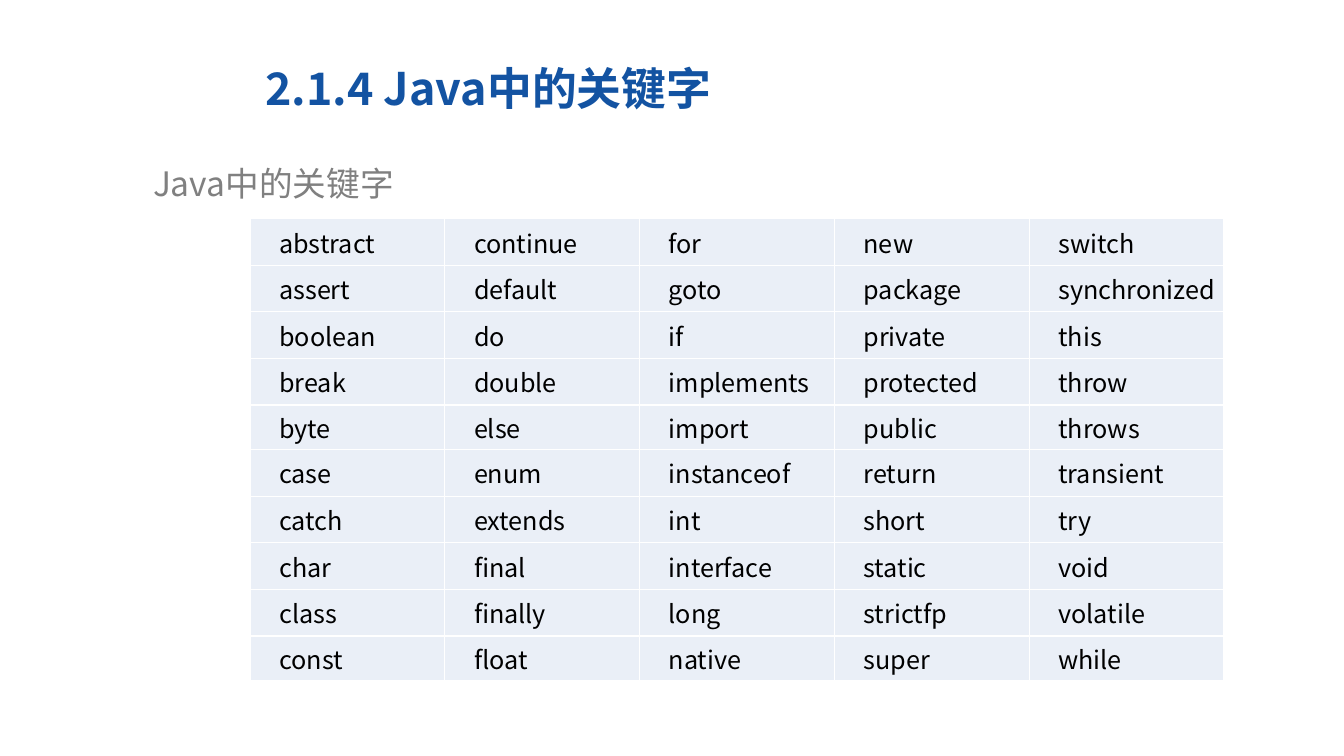
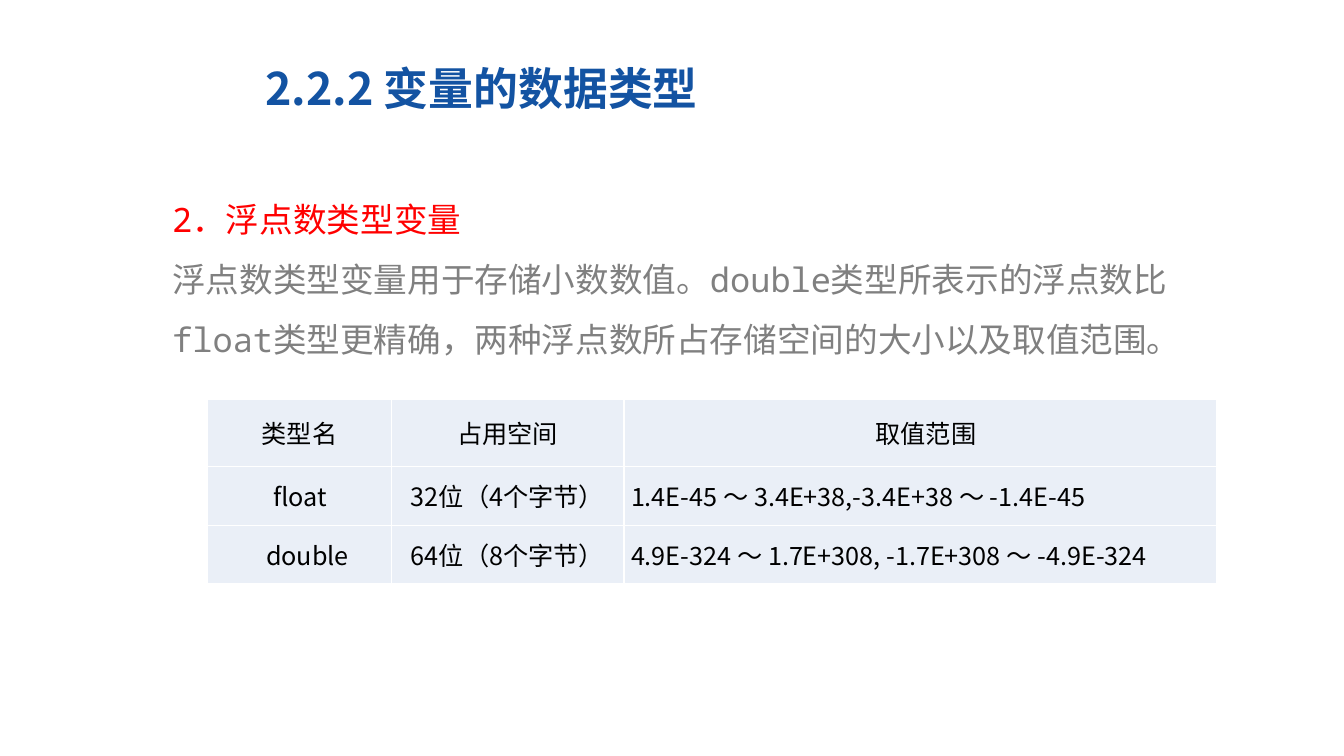
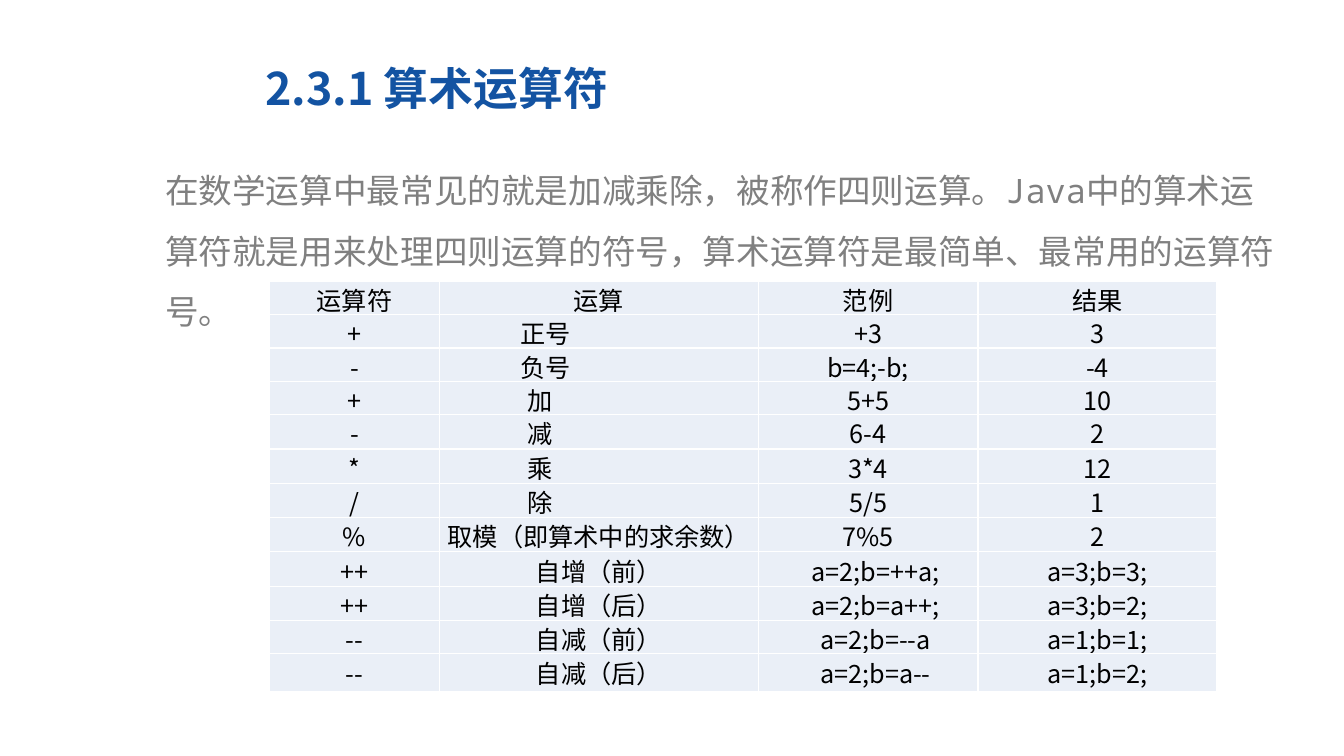
import pptx
import pptx.util
import pptx.dml.color
import pptx.enum.text
import pptx.oxml.ns
import lxml.etree

RGB = pptx.dml.color.RGBColor
BLUE = RGB(0x13, 0x53, 0xA2)
GRAY = RGB(0x80, 0x80, 0x80)
RED = RGB(0xFF, 0, 0)
BLACK = RGB(0, 0, 0)
PALE = RGB(0xEA, 0xEF, 0xF7)
EDGE = "FFFFFF"
SANS = "Noto Sans CJK SC"
MONO = "Noto Sans Mono"
ALIGN = pptx.enum.text.PP_ALIGN
ANCHOR = pptx.enum.text.MSO_ANCHOR
FIT = pptx.enum.text.MSO_AUTO_SIZE
INCH = pptx.util.Inches
WIDE, HIGH = INCH(13.33), INCH(7.5)
TITLE_BOX = (18.98, 7.33, 41.86, 8.53)

KEYS = """abstract continue for new switch
assert default goto package synchronized
boolean do if private this
break double implements protected throw
byte else import public throws
case enum instanceof return transient
catch extends int short try
char final interface static void
class finally long strictfp volatile
const float native super while"""

FLOATS = [
    ["类型名", "占用空间", "取值范围"],
    ["float", "32位（4个字节）", "1.4E-45 ～ 3.4E+38,-3.4E+38 ～ -1.4E-45"],
    ["double", "64位（8个字节）", "4.9E-324 ～ 1.7E+308, -1.7E+308 ～ -4.9E-324"],
]

SIGNS = [
    ["运算符", "运算", "范例", "结果"],
    ["+", "正号", "+3", "3"],
    ["-", "负号", "b=4;-b;", "-4"],
    ["+", "加", "5+5", "10"],
    ["-", "减", "6-4", "2"],
    ["*", "乘", "3*4", "12"],
    ["/", "除", "5/5", "1"],
    ["%", "取模（即算术中的求余数）", "7%5", "2"],
    ["++", "自增（前）", "a=2;b=++a;", "a=3;b=3;"],
    ["++", "自增（后）", "a=2;b=a++;", "a=3;b=2;"],
    ["--", "自减（前）", "a=2;b=--a", "a=1;b=1;"],
    ["--", "自减（后）", "a=2;b=a--", "a=1;b=2;"],
]


def place(box):
    """Turn percentages of the slide into lengths."""
    left, top, width, height = box
    return (int(WIDE * left / 100), int(HIGH * top / 100),
            int(WIDE * width / 100), int(HIGH * height / 100))


def write(para, text, size=18, color=BLACK, face=SANS, bold=False,
          align=ALIGN.LEFT, indent=0, space=None):
    para.alignment = align
    if indent:
        para._p.get_or_add_pPr().set("indent", str(INCH(indent)))
    if space:
        para.line_spacing = space
    run = para.add_run()
    run.text = text
    font = run.font
    font.size, font.bold, font.name = pptx.util.Pt(size), bold, face
    font.color.rgb = color
    east = lxml.etree.SubElement(run._r.get_or_add_rPr(), pptx.oxml.ns.qn("a:ea"))
    east.set("typeface", SANS)


def start(deck, text):
    """Add a slide with its title."""
    slide = deck.slides.add_slide(deck.slide_layouts[5])
    title = slide.shapes.title
    title.left, title.top, title.width, title.height = place(TITLE_BOX)
    frame = title.text_frame
    frame.auto_size = FIT.NONE
    frame.vertical_anchor = ANCHOR.TOP
    write(frame.paragraphs[0], text, size=32, color=BLUE, bold=True)
    return slide


def body(slide, box, lines, face=MONO):
    frame = slide.shapes.add_textbox(*place(box)).text_frame
    frame.word_wrap = True
    for i, (text, color) in enumerate(lines):
        para = frame.add_paragraph() if i else frame.paragraphs[0]
        write(para, text, size=24, color=color, face=face, space=1.5)


def border(cell):
    props = cell._tc.get_or_add_tcPr()
    for side in ("lnL", "lnR", "lnT", "lnB"):
        line = lxml.etree.SubElement(props, pptx.oxml.ns.qn("a:" + side), w="12700")
        fill = lxml.etree.SubElement(line, pptx.oxml.ns.qn("a:solidFill"))
        lxml.etree.SubElement(fill, pptx.oxml.ns.qn("a:srgbClr"), val=EDGE)


def grid(slide, box, data, cols, rows, inset=0.07, lead=None, nudge=None):
    """Add a table; cols and rows are weights.

    Cells in lead are justified with that first indent, the others are
    centred, moved by the indent in nudge.
    """
    lead, nudge = lead or {}, nudge or {}
    left, top, width, height = place(box)
    table = slide.shapes.add_table(len(rows), len(cols), left, top, width, height).table
    table.first_row = table.horz_banding = False
    for col, share in zip(table.columns, cols):
        col.width = int(width * share / sum(cols))
    for row, share in zip(table.rows, rows):
        row.height = int(height * share / sum(rows))
    for r, line in enumerate(data):
        for c, text in enumerate(line):
            cell = table.cell(r, c)
            cell.margin_left = cell.margin_right = INCH(inset)
            cell.margin_top = cell.margin_bottom = 0
            cell.vertical_anchor = ANCHOR.MIDDLE
            border(cell)
            cell.fill.solid()
            cell.fill.fore_color.rgb = PALE
            spot = (r, c)
            write(cell.text_frame.paragraphs[0], text,
                  align=ALIGN.JUSTIFY if spot in lead else ALIGN.CENTER,
                  indent=lead.get(spot, nudge.get(spot, 0)))


def words(deck):
    slide = start(deck, "2.1.4 Java中的关键字")
    body(slide, (10.65, 18.27, 21.68, 9.47), [("Java中的关键字", GRAY)], face=SANS)
    data = [line.split() for line in KEYS.splitlines()]
    grid(slide, (18.6, 28.93, 72.47, 61.1), data, [1] * 5,
         ([0.46] * 4 + [0.44]) + ([0.46] * 4 + [0.44]), inset=0,
         lead={(r, c): 0.29 for r in range(10) for c in range(5)})


def floats(deck):
    slide = start(deck, "2.2.2 变量的数据类型")
    body(slide, (12.08, 22.93, 81.02, 28), [
        ("2．浮点数类型变量", RED),
        ("浮点数类型变量用于存储小数数值。double类型所表示的浮点数比float类型更精确，"
         "两种浮点数所占存储空间的大小以及取值范围。", GRAY)])
    grid(slide, (15.45, 52.8, 75.09, 24.4), FLOATS,
         [1.82, 2.31, 5.88], [0.67, 0.58, 0.58],
         lead={(1, 0): 0.58, (2, 0): 0.51, (1, 2): 0, (2, 2): 0},
         nudge={(0, 2): 0.11})


def signs(deck):
    slide = start(deck, "2.3.1 算术运算符")
    body(slide, (11.55, 19.2, 84.17, 21.33), [
        ("在数学运算中最常见的就是加减乘除，被称作四则运算。Java中的算术运算符就是"
         "用来处理四则运算的符号，算术运算符是最简单、最常用的运算符号。", GRAY)])
    grid(slide, (20.03, 37.2, 70.52, 54.27), SIGNS, [1.69, 3.16, 2.18, 2.37],
         [0.33] * 4 + [0.34] * 6 + [0.33, 0.37],
         lead={(r, 1): 0.73 if r < 3 else 0.8 for r in range(1, 7)},
         nudge={(r, 2): 0.15 for r in range(8, 12)})


def main():
    deck = pptx.Presentation()
    deck.slide_width, deck.slide_height = WIDE, HIGH
    for build in (words, floats, signs):
        build(deck)
    deck.save("out.pptx")


if __name__ == "__main__":
    main()
